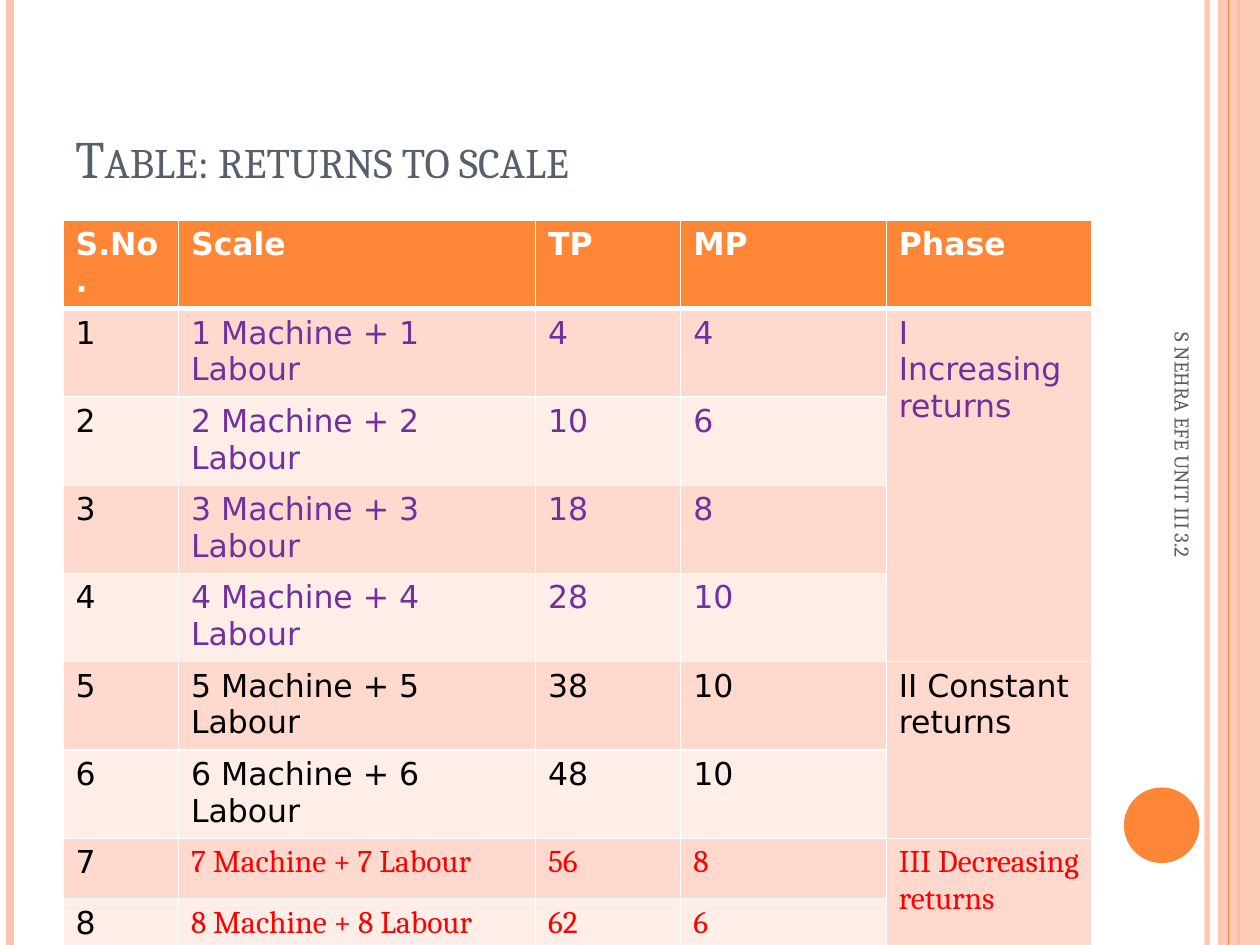
from lxml import etree
from pptx import Presentation
from pptx.dml.color import RGBColor
from pptx.enum import shapes, text
from pptx.oxml import ns
from pptx.util import Pt

# Content
TITLE = "Table: returns to scale"
SIDE = "S NEHRA EFE UNIT III 3.2"
HEAD = ["S.No.", "Scale", "TP", "MP", "Phase"]
YIELDS = [(4, 4), (10, 6), (18, 8), (28, 10),
          (38, 10), (48, 10), (56, 8), (62, 6)]
# Phase name, number of rows, colour, font
PHASES = [
    ("I Increasing returns", 4, "7030A0", "DejaVu Sans"),
    ("II Constant returns", 2, "000000", "DejaVu Sans"),
    ("III Decreasing returns", 2, "FF0000", "Cambria"),
]
# Vertical rules: x, colour, width, opacity in percent
BACK = [(689.76, "FEC3AE", 3, 93), (5.76, "FEC3AE", 4.5, 100),
        (707.76, "FE8637", 1.5, 100)]
FRONT = [(702, "FE8637", 0.75, 100)]
COLS = [66, 204, 83, 117.5, 117.5]
ROWS = [34.56] * 8 + [50.4]
ORANGE, SLATE, WHITE = "FE8637", "575F6D", "FFFFFF"
BANDS = ["FFD9CE", "FFEDE8"]
WIDE, HIGH = 720, 540


def rgb(code):
    return RGBColor.from_string(code)


def style(frame, size, font, color, bold=False):
    for run in frame.paragraphs[0].runs:
        run.font.size, run.font.name, run.font.bold = Pt(size), font, bold
        run.font.color.rgb = rgb(color)


def fade(shape, percent):
    color = next(shape._element.spPr.iter(ns.qn("a:srgbClr")))
    etree.SubElement(color, ns.qn("a:alpha"), val=str(percent * 1000))


def rule(x, color, width, alpha):
    line = slide.shapes.add_connector(
        shapes.MSO_CONNECTOR.STRAIGHT, Pt(x), 0, Pt(x), Pt(HIGH))
    line.line.color.rgb, line.line.width = rgb(color), Pt(width)
    etree.SubElement(line._element.spPr, ns.qn("a:effectLst"))
    if alpha < 100:
        fade(line, alpha)


def solid(kind, color, *box):
    shape = slide.shapes.add_shape(kind, *map(Pt, box))
    shape.shadow.inherit = False
    shape.fill.solid()
    shape.fill.fore_color.rgb = rgb(color)
    shape.line.fill.background()
    return shape


def label(words, anchor, size, *box):
    shape = slide.shapes.add_textbox(*map(Pt, box))
    frame = shape.text_frame
    frame.word_wrap, frame.vertical_anchor = True, anchor
    frame.text = words
    style(frame, size, "Cambria", SLATE)
    return shape


def border(cell, base):
    props = cell._tc.get_or_add_tcPr()
    sides = [("L", 1), ("R", 1), ("T", 1), ("B", base)]
    for spot, (side, width) in enumerate(sides):
        edge = etree.Element(ns.qn("a:ln" + side), w=str(int(Pt(width))))
        paint = etree.SubElement(edge, ns.qn("a:solidFill"))
        etree.SubElement(paint, ns.qn("a:srgbClr"), val=WHITE)
        props.insert(spot, edge)


deck = Presentation()
deck.slide_width, deck.slide_height = Pt(WIDE), Pt(HIGH)
slide = deck.slides.add_slide(deck.slide_layouts[6])

# Side decoration
for item in BACK:
    rule(*item)
band = solid(shapes.MSO_SHAPE.RECTANGLE, "FEC3AE", 696, 0, 24, HIGH)
fade(band, 87)
for item in FRONT:
    rule(*item)
solid(shapes.MSO_SHAPE.OVAL, ORANGE, 642.24, 450, 43.2, 43.2)

# Title in small capitals
title = label(TITLE, text.MSO_ANCHOR.BOTTOM, 30, 36, 21.6, 588, 90)
for run in title.text_frame.paragraphs[0].runs:
    run._r.get_or_add_rPr().set("cap", "small")

# Table
grid = slide.shapes.add_table(
    len(ROWS), len(COLS), Pt(36), Pt(126), Pt(sum(COLS)), Pt(sum(ROWS))).table
grid.horz_banding = False
for col, width in zip(grid.columns, COLS):
    col.width = Pt(width)
for row, height in zip(grid.rows, ROWS):
    row.height = Pt(height)


def put(r, c, words, font, color):
    cell = grid.cell(r, c)
    cell.text = str(words)
    style(cell.text_frame, 18, font, color, r == 0)
    cell.fill.solid()
    cell.fill.fore_color.rgb = rgb(BANDS[(r - 1) % 2] if r else ORANGE)
    border(cell, 1 if r else 3)


for c, words in enumerate(HEAD):
    put(0, c, words, "DejaVu Sans", WHITE)
first = 1
for name, count, color, font in PHASES:
    for r in range(first, first + count):
        total, extra = YIELDS[r - 1]
        put(r, 0, r, "DejaVu Sans", "000000")
        cells = [f"{r} Machine + {r} Labour", total, extra,
                 name if r == first else ""]
        for c, words in enumerate(cells, 1):
            put(r, c, words, font, color)
    grid.cell(first, 4).merge(grid.cell(first + count - 1, 4))
    first += count

# Turned footer
foot = label(SIDE, text.MSO_ANCHOR.MIDDLE, 12, 550, 294.5, 252, 28.8)
foot.rotation = 90

deck.save("out.pptx")
